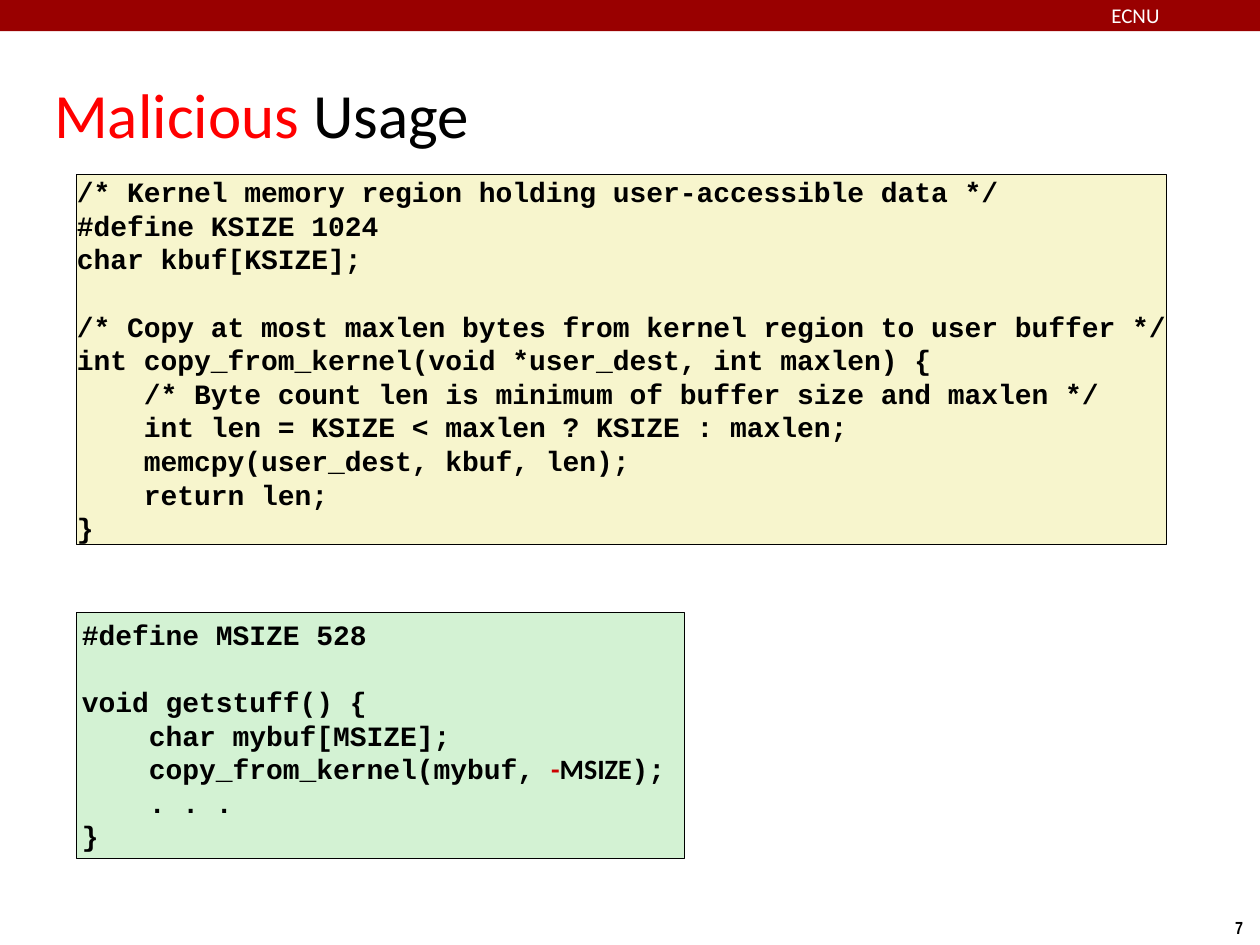
from dataclasses import dataclass

from pptx import Presentation
from pptx.dml.color import RGBColor as Color
from pptx.enum.shapes import MSO_SHAPE as Shape
from pptx.enum.text import MSO_ANCHOR as Anchor, MSO_AUTO_SIZE as AutoSize, PP_ALIGN as Align
from pptx.util import Inches, Pt


@dataclass(frozen=True)
class Theme:
    """Colours, fonts and type sizes of the deck."""
    black: str = "000000"
    white: str = "FFFFFF"
    banner: str = "990000"
    title_accent: str = "FF0000"
    code_accent: str = "CC0000"
    kernel_fill: str = "F7F5CD"
    user_fill: str = "D3F2D3"
    body_font: str = "Calibri"
    code_font: str = "Courier New"
    number_font: str = "Arial Narrow"
    title_size: int = 36
    code_size: int = 16
    code_pitch: float = 19.2
    label_size: int = 12
    number_size: int = 10
    outline: float = 0.5


THEME = Theme()
WIDTH, HEIGHT = 10, 7.5
CODE_LEFT = 0.061

KERNEL_CODE = """/* Kernel memory region holding user-accessible data */
#define KSIZE 1024
char kbuf[KSIZE];

/* Copy at most maxlen bytes from kernel region to user buffer */
int copy_from_kernel(void *user_dest, int maxlen) {
    /* Byte count len is minimum of buffer size and maxlen */
    int len = KSIZE < maxlen ? KSIZE : maxlen;
    memcpy(user_dest, kbuf, len);
    return len;
}"""

USER_CODE = """#define MSIZE 528

void getstuff() {
    char mybuf[MSIZE];
    copy_from_kernel(mybuf, -MSIZE);
    . . .
}"""

USER_SPANS = {
    "    copy_from_kernel(mybuf, -MSIZE);": [
        ("    copy_from_kernel(mybuf, ", {}),
        ("-", {"name": THEME.body_font, "color": THEME.code_accent}),
        ("MSIZE", {"name": THEME.body_font}),
        (");", {}),
    ]
}


def place(left, top, width, height):
    """Turn shares of the slide's size into lengths."""
    return (Inches(left * WIDTH), Inches(top * HEIGHT),
            Inches(width * WIDTH), Inches(height * HEIGHT))


def set_frame(frame, inset=0, **values):
    """Set equal margins and further values of a text frame."""
    margins = {f"margin_{side}": Inches(inset) for side in ("left", "top", "right", "bottom")}
    for name, value in {**margins, "word_wrap": True, **values}.items():
        setattr(frame, name, value)


def add_span(para, text, name=THEME.body_font, size=THEME.code_size,
             color=THEME.black, bold=False):
    """Add one formatted run to a paragraph."""
    span = para.add_run()
    span.text = text
    for key, value in {"name": name, "size": Pt(size), "bold": bold}.items():
        setattr(span.font, key, value)
    span.font.color.rgb = Color.from_string(color)


def add_label(slide, area, spans, align=Align.LEFT, **frame_values):
    """Add a one-line text box made of formatted spans."""
    box = slide.shapes.add_textbox(*place(*area))
    set_frame(box.text_frame, **frame_values)
    para = box.text_frame.paragraphs[0]
    para.alignment = align
    for text, values in spans:
        add_span(para, text, **values)


def add_panel(slide, area, fill, line=None):
    """Add a filled rectangle, outlined when a line colour is given."""
    panel = slide.shapes.add_shape(Shape.RECTANGLE, *place(*area))
    panel.shadow.inherit = False
    panel.fill.solid()
    panel.fill.fore_color.rgb = Color.from_string(fill)
    if line:
        panel.line.color.rgb = Color.from_string(line)
        panel.line.width = Pt(THEME.outline)
    else:
        panel.line.fill.background()
    return panel


def add_code(slide, area, fill, code, inset=0, special=None):
    """Add a code listing whose empty lines become space before the next line."""
    frame = add_panel(slide, area, fill, THEME.black).text_frame
    set_frame(frame, inset, word_wrap=False, vertical_anchor=Anchor.TOP,
              auto_size=AutoSize.SHAPE_TO_FIT_TEXT)
    para, gap = frame.paragraphs[0], 0
    for index, line in enumerate(code.splitlines()):
        if not line:
            gap += THEME.code_pitch
            continue
        if index:
            para = frame.add_paragraph()
        formats = {"alignment": Align.LEFT, "line_spacing": Pt(THEME.code_pitch),
                   "space_before": Pt(gap)}
        for name, value in formats.items():
            setattr(para, name, value)
        for text, values in (special or {}).get(line, [(line, {})]):
            add_span(para, text, **{"name": THEME.code_font, "bold": True, **values})
        gap = 0


def main():
    """Build the slide and save the deck."""
    deck = Presentation()
    deck.slide_width, deck.slide_height = Inches(WIDTH), Inches(HEIGHT)
    slide = deck.slides.add_slide(deck.slide_layouts[6])
    add_label(slide, (0.946, 0.964, 0.075, 0.036),
              [("7", {"name": THEME.number_font, "size": THEME.number_size, "bold": True})],
              align=Align.CENTER, inset=0.05)
    add_panel(slide, (0, 0, 1, 0.033), THEME.banner)
    add_label(slide, (0.882, 0.003, 0.118, 0.025),
              [("ECNU", {"size": THEME.label_size, "color": THEME.white})])
    add_label(slide, (0.039, 0.008, 0.83, 0.225),
              [("Malicious", {"size": THEME.title_size, "color": THEME.title_accent}),
               (" Usage", {"size": THEME.title_size})],
              inset=0.04, vertical_anchor=Anchor.MIDDLE)
    add_code(slide, (CODE_LEFT, 0.648, 0.482, 0.26), THEME.user_fill, USER_CODE,
             inset=0.04, special=USER_SPANS)
    add_code(slide, (CODE_LEFT, 0.185, 0.865, 0.391), THEME.kernel_fill, KERNEL_CODE)
    deck.save("out.pptx")


if __name__ == "__main__":
    main()
